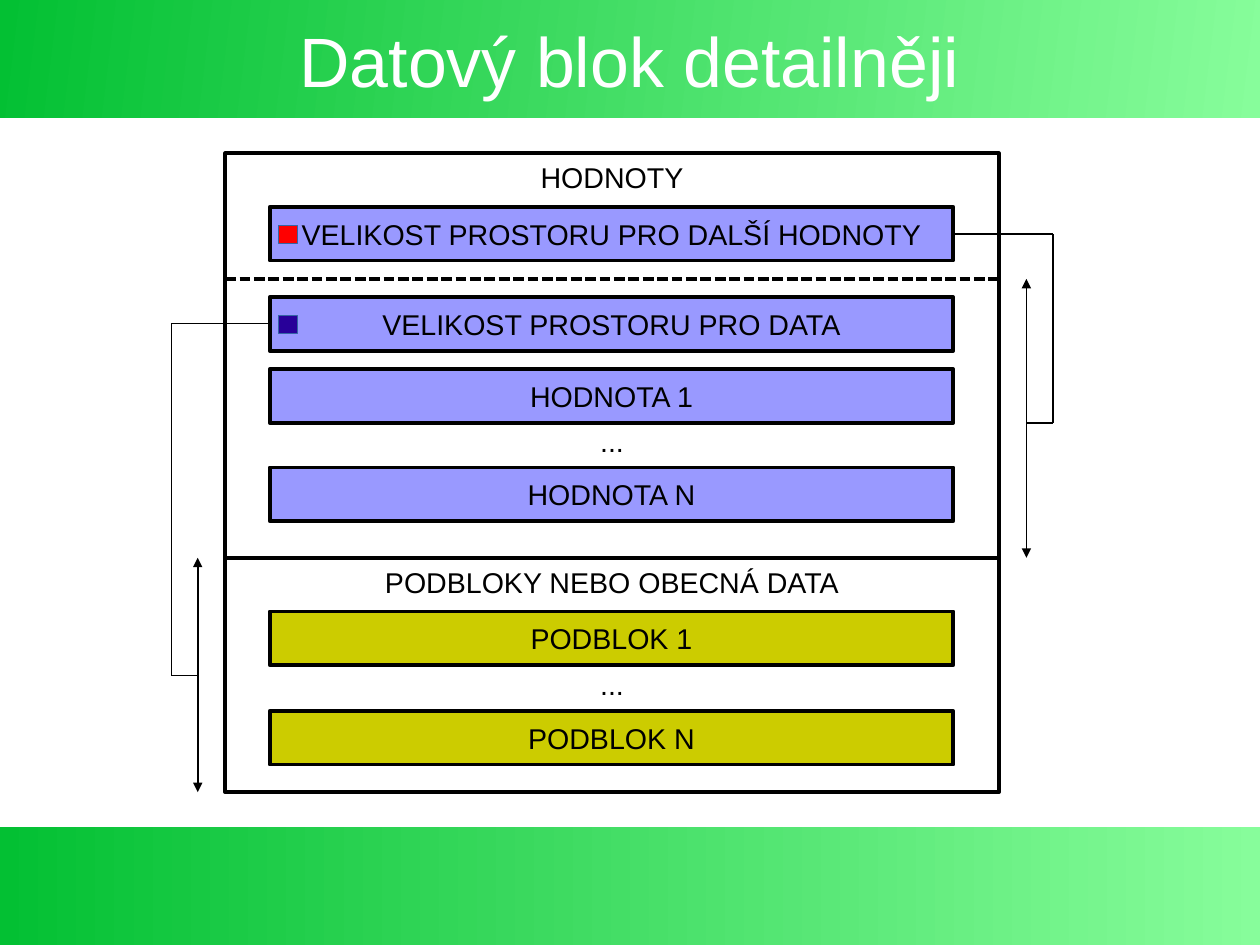
from dataclasses import dataclass
from typing import Optional

from lxml.etree import SubElement
from pptx import Presentation
from pptx.dml.color import RGBColor as RGB
from pptx.enum.dml import MSO_LINE_DASH_STYLE as DASH
from pptx.enum.shapes import MSO_CONNECTOR as CONN, MSO_SHAPE as SHAPE
from pptx.enum.text import MSO_ANCHOR as ANCHOR, PP_ALIGN as ALIGN
from pptx.oxml.ns import qn
from pptx.util import Inches, Pt

COLORS = {
    "light": "87FD9B", "dark": "03C033", "black": "000000", "white": "FFFFFF",
    "value": "9999FF", "subblock": "CCCC00", "red": "FF0000",
    "indigo": "280099", "marker_line": "3465A4",
}
FONT = "Arial"
WIDTH, HEIGHT = 28 / 2.54, 21 / 2.54  # 28 x 21 cm page
BAND_H = 1.03
FRAME_X, FRAME_W = 1.97, 6.77
BAR_X, BAR_W, BAR_H = 2.36, 5.98, 0.47
MARKER = 0.16
SPLIT_Y, END_Y, DASH_Y = 4.88, 6.93, 2.44  # section boundaries


@dataclass
class Box:
    x: float
    y: float
    w: float
    h: float
    text: str = ""
    fill: Optional[str] = None
    line: str = "black"
    line_pt: float = 2.3
    anchor: ANCHOR = ANCHOR.MIDDLE


@dataclass
class Line:
    x1: float
    y1: float
    x2: float
    y2: float
    pt: float = 1.13
    arrows: bool = False
    dashed: bool = False


def rgb(name: str) -> RGB:
    return RGB.from_string(COLORS[name])


def add_text(s, text: str, size: float = 18, color: str = "black",
             anchor: ANCHOR = ANCHOR.MIDDLE, inset_x: float = 0.11, inset_y: float = 0.06) -> None:
    tf = s.text_frame
    tf.word_wrap = False
    tf.vertical_anchor = anchor
    tf.margin_left = tf.margin_right = Inches(inset_x)
    tf.margin_top = tf.margin_bottom = Inches(inset_y)
    p = tf.paragraphs[0]
    p.alignment = ALIGN.CENTER
    r = p.add_run()
    r.text = text
    r.font.name = FONT
    r.font.size = Pt(size)
    r.font.color.rgb = rgb(color)


def add_rect(shapes, x: float, y: float, w: float, h: float):
    s = shapes.add_shape(SHAPE.RECTANGLE, Inches(x), Inches(y), Inches(w), Inches(h))
    s.shadow.inherit = False
    return s


def add_band(shapes, y: float, angle: float) -> None:
    s = add_rect(shapes, 0, y, WIDTH, BAND_H)
    s.line.fill.background()
    s.fill.gradient()
    s.fill.gradient_angle = angle
    for stop, name in zip(s.fill.gradient_stops, ("light", "dark")):
        stop.color.rgb = rgb(name)


def add_box(shapes, box: Box) -> None:
    s = add_rect(shapes, box.x, box.y, box.w, box.h)
    if box.fill:
        s.fill.solid()
        s.fill.fore_color.rgb = rgb(box.fill)
    else:
        s.fill.background()
    s.line.color.rgb = rgb(box.line)
    s.line.width = Pt(box.line_pt)
    if box.text:
        add_text(s, box.text, anchor=box.anchor)


def add_label(shapes, x: float, y: float, w: float, h: float):
    return shapes.add_textbox(Inches(x), Inches(y), Inches(w), Inches(h))


def add_line(shapes, line: Line) -> None:
    s = shapes.add_connector(CONN.STRAIGHT, Inches(line.x1), Inches(line.y1),
                             Inches(line.x2), Inches(line.y2))
    s.line.color.rgb = rgb("black")
    s.line.width = Pt(line.pt)
    if line.dashed:
        s.line.dash_style = DASH.SQUARE_DOT
    if line.arrows:
        ln = s.line._get_or_add_ln()
        for end in ("a:headEnd", "a:tailEnd"):
            SubElement(ln, qn(end), type="triangle")
    SubElement(s._element.spPr, qn("a:effectLst"))


def bracket(x: float, bar_edge: float, bar_y: float, span_x: float,
            top: float, bottom: float, joint_y: float) -> list[Line]:
    """Lines that tie a size bar to the span it measures."""
    return [
        Line(bar_edge, bar_y, x, bar_y),
        Line(span_x, top, span_x, bottom, arrows=True),
        Line(span_x, joint_y, x, joint_y),
        Line(x, bar_y, x, joint_y),
    ]


FRAMES = [
    Box(FRAME_X, 1.34, FRAME_W, SPLIT_Y - 1.34, "HODNOTY", anchor=ANCHOR.TOP),
    Box(FRAME_X, SPLIT_Y, FRAME_W, END_Y - SPLIT_Y, "PODBLOKY NEBO OBECNÁ DATA",
        anchor=ANCHOR.TOP),
]
BARS = [Box(BAR_X, y, BAR_W, BAR_H, text, fill) for y, text, fill in (
    (1.81, "VELIKOST PROSTORU PRO DALŠÍ HODNOTY", "value"),
    (2.6, "VELIKOST PROSTORU PRO DATA", "value"),
    (3.23, "HODNOTA 1", "value"),
    (4.09, "HODNOTA N", "value"),
    (5.35, "PODBLOK 1", "subblock"),
    (6.22, "PODBLOK N", "subblock"),
)]
MARKERS = [Box(2.44, y, MARKER, MARKER, fill=fill, line="marker_line", line_pt=0)
           for y, fill in ((1.97, "red"), (2.76, "indigo"))]
LINES = [
    Line(FRAME_X, DASH_Y, FRAME_X + FRAME_W, DASH_Y, pt=2.27, dashed=True),
    *bracket(9.21, BAR_X + BAR_W, 2.05, 8.98, DASH_Y, SPLIT_Y, 3.7),
    *bracket(1.5, BAR_X, 2.83, 1.73, SPLIT_Y, END_Y, 5.91),
]


def main() -> None:
    prs = Presentation()
    prs.slide_width, prs.slide_height = Inches(WIDTH), Inches(HEIGHT)
    shapes = prs.slides.add_slide(prs.slide_layouts[6]).shapes

    # Bands and title
    add_band(shapes, 0, 173)
    add_band(shapes, HEIGHT - BAND_H, 180)
    add_text(add_label(shapes, 0.55, 0.17, 9.92, 0.7), "Datový blok detailněji",
             44, "white", inset_x=0, inset_y=0)

    # Block structure
    for y in (3.62, 5.75):
        add_text(add_label(shapes, 2.6, y, 5.51, 0.47), "...")
    for box in FRAMES + BARS:
        add_box(shapes, box)

    # Size relations and markers
    for line in LINES:
        add_line(shapes, line)
    for box in MARKERS:
        add_box(shapes, box)

    prs.save("out.pptx")


if __name__ == "__main__":
    main()
